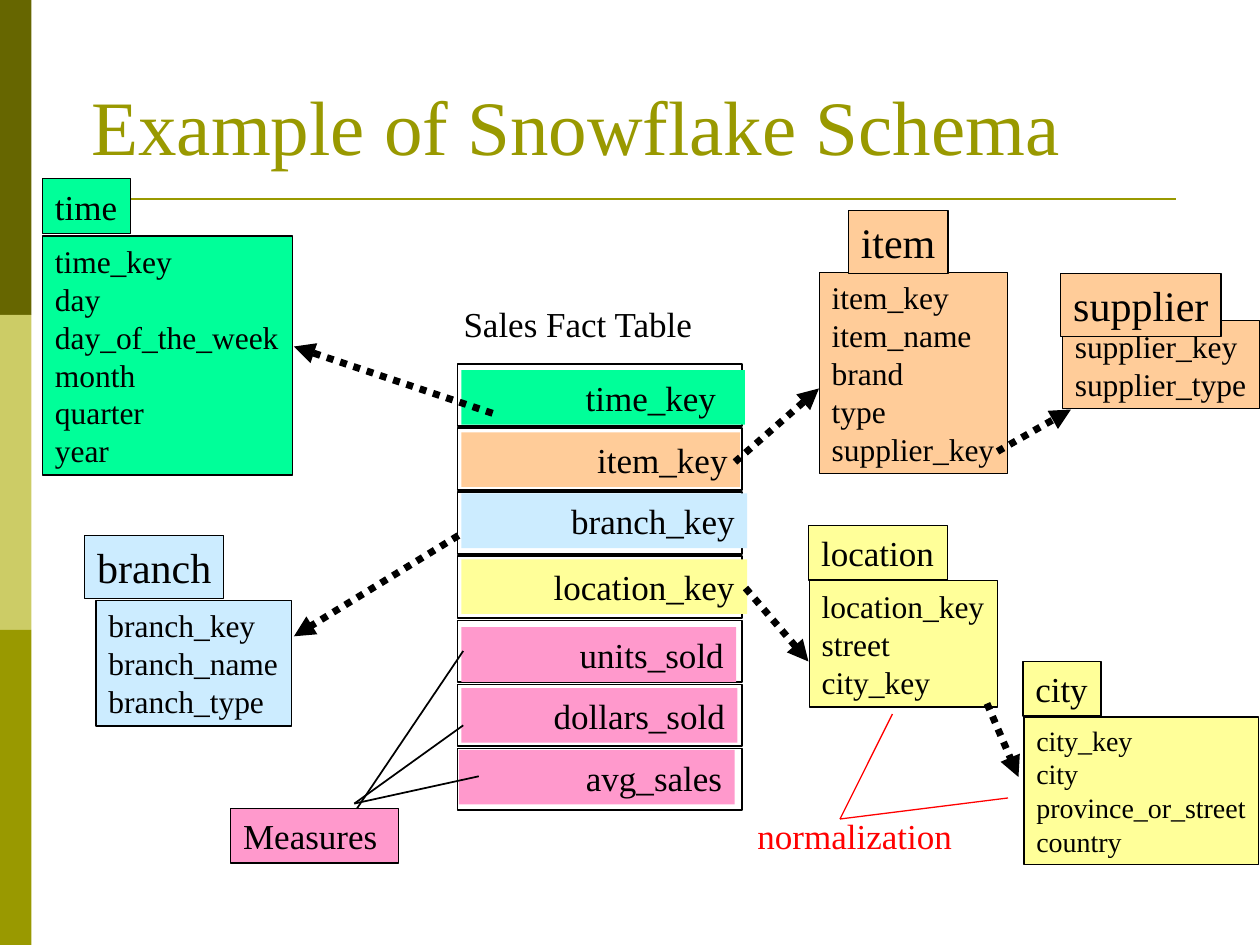
from dataclasses import dataclass

from lxml.etree import SubElement
from pptx import Presentation
from pptx.dml.color import RGBColor
from pptx.enum.dml import MSO_LINE
from pptx.enum.shapes import MSO_CONNECTOR, MSO_SHAPE
from pptx.enum.text import MSO_ANCHOR, MSO_AUTO_SIZE, PP_ALIGN
from pptx.oxml.ns import qn
from pptx.util import Pt


@dataclass(frozen=True)
class Theme:
    font: str = "Times New Roman"
    dark_olive: str = "666600"
    pale_olive: str = "CCCC66"
    olive: str = "999900"
    ink: str = "000000"
    accent: str = "FF0000"
    time: str = "00FF99"
    item: str = "FFCC99"
    branch: str = "CCECFF"
    location: str = "FFFF99"
    measure: str = "FF99CC"
    title_size: int = 44
    heading_size: int = 24
    label_size: int = 20
    field_size: int = 18
    small_size: int = 16


THEME = Theme()

SIDE_BAND_COLORS = (THEME.dark_olive, THEME.pale_olive, THEME.olive)

# heading, heading size, heading box, fields, field size, field box, fill
ENTITIES = (
    ("time", THEME.label_size, (24.3, 102.2, 50.4, 31.2),
     ("time_key", "day", "day_of_the_week", "month", "quarter", "year"),
     THEME.field_size, (24.3, 134.9, 142.8, 136.6), THEME.time),
    ("location", THEME.label_size, (462.2, 300.2, 79.2, 31.2),
     ("location_key", "street", "city_key"),
     THEME.field_size, (462.5, 331.9, 107.5, 72.2), THEME.location),
    ("item", THEME.heading_size, (484.8, 120.2, 56.9, 36),
     ("item_key", "item_name", "brand", "type", "supplier_key"),
     THEME.field_size, (468.2, 155.6, 107.5, 115), THEME.item),
    ("branch", THEME.heading_size, (48.4, 306, 79.4, 36),
     ("branch_key", "branch_name", "branch_type"),
     THEME.field_size, (54.9, 343, 111.6, 72), THEME.branch),
    ("supplier", THEME.heading_size, (606.2, 156.3, 91.6, 36),
     ("supplier_key", "supplier_type"),
     THEME.field_size, (607.1, 183.3, 112.6, 50.4), THEME.item),
    ("city", THEME.label_size, (584.5, 378, 44.6, 31.2),
     ("city_key", "city", "province_or_street", "country"),
     THEME.small_size, (585.1, 409.8, 134, 84.2), THEME.location),
)

CELL_LEFT, CELL_TOP, CELL_PITCH = 261.4, 208.1, 36.6
CELL_WIDTH, CELL_HEIGHT, KEY_HEIGHT = 162.7, 35.3, 31.2
# key, fill, left, top, width, right inset
FACT_KEYS = (
    ("time_key", THEME.time, 263.7, 211.5, 162, 16.5),
    ("item_key", THEME.item, 263.7, 247, 159.2, 7.2),
    ("branch_key", THEME.branch, 263.7, 282, 163.2, 7.2),
    ("location_key", THEME.location, 263.7, 319.6, 163.2, 7.2),
    ("units_sold", THEME.measure, 263.7, 358.4, 157, 7.2),
    ("dollars_sold", THEME.measure, 263.7, 393.2, 157.7, 7.2),
    ("avg_sales", THEME.measure, 262.3, 428.5, 157.5, 7.2),
)

KEY_LINKS = (
    ((262, 306), (168, 363.6)),
    ((281.5, 236.2), (168, 198)),
    ((426, 336), (462, 378)),
    ((420, 264), (468, 222)),
    ((570, 258), (612, 234)),
    ((564, 402), (582, 444)),
)
MEASURE_LINES = (
    ((204, 462), (264.7, 372)),
    ((202.5, 459.2), (264.7, 414.5)),
    ((202.5, 459.2), (273.6, 443.6)),
)
NORMALIZATION_LINES = (
    ((480, 468), (510, 408)),
    ((480, 468), (576, 456)),
)


def rgb(color):
    return RGBColor.from_string(color)


def add_box(shapes, box, fill=None, outline=None):
    rect = shapes.add_shape(MSO_SHAPE.RECTANGLE, *map(Pt, box))
    rect.shadow.inherit = False
    paint(rect, fill, outline, 1)


def paint(shape, fill, outline, weight):
    if fill:
        shape.fill.solid()
        shape.fill.fore_color.rgb = rgb(fill)
    else:
        shape.fill.background()
    if outline:
        shape.line.color.rgb = rgb(outline)
        shape.line.width = Pt(weight)
    else:
        shape.line.fill.background()


def format_text(frame, size, color, align=PP_ALIGN.LEFT):
    for paragraph in frame.paragraphs:
        paragraph.alignment = align
        for run in paragraph.runs:
            run.font.name = THEME.font
            run.font.size = Pt(size)
            run.font.color.rgb = rgb(color)


def add_label(shapes, text, box, size=THEME.label_size, color=THEME.ink, fill=None,
              outline=None, align=PP_ALIGN.LEFT, right_inset=0):
    """Text box; left-aligned text may use the full width up to the right edge."""
    label = shapes.add_textbox(*map(Pt, box))
    paint(label, fill, outline, 0.75)
    frame = label.text_frame
    frame.text = text
    frame.word_wrap = True
    frame.auto_size = MSO_AUTO_SIZE.SHAPE_TO_FIT_TEXT
    frame.margin_right = Pt(right_inset)
    format_text(frame, size, color, align)


def add_line(shapes, start, end, color=THEME.ink, weight=1.0):
    line = shapes.add_connector(MSO_CONNECTOR.STRAIGHT, *map(Pt, start + end))
    line.line.color.rgb = rgb(color)
    line.line.width = Pt(weight)
    SubElement(line._element.spPr, qn("a:effectLst"))
    return line


def add_key_link(shapes, start, end):
    """Dotted arrow from a foreign key to the table it refers to."""
    link = add_line(shapes, start, end, weight=4)
    link.line.dash_style = MSO_LINE.ROUND_DOT
    SubElement(link.line._get_or_add_ln(), qn("a:tailEnd"), type="triangle")


def add_entity(shapes, heading, heading_size, heading_box, fields, field_size, field_box, fill):
    entity = shapes.add_group_shape().shapes
    add_label(entity, "\n".join(fields), field_box, field_size, fill=fill, outline=THEME.ink)
    add_label(entity, heading, heading_box, heading_size, fill=fill, outline=THEME.ink)


def add_fact_table(shapes):
    add_label(shapes, "Sales Fact Table", (257.8, 169.5, 146.9, 31.2))
    for row, (key, fill, left, top, width, inset) in enumerate(FACT_KEYS):
        cell_top = CELL_TOP + row * CELL_PITCH
        add_box(shapes, (CELL_LEFT, cell_top, CELL_WIDTH, CELL_HEIGHT), outline=THEME.ink)
        add_label(shapes, key, (left, top, width, KEY_HEIGHT), fill=fill,
                  align=PP_ALIGN.RIGHT, right_inset=inset)


def set_title(title, text):
    title.left, title.top, title.width, title.height = map(Pt, (45, 36, 601, 65.5))
    frame = title.text_frame
    frame.text = text
    frame.auto_size = MSO_AUTO_SIZE.NONE
    frame.vertical_anchor = MSO_ANCHOR.BOTTOM
    format_text(frame, THEME.title_size, THEME.olive)


def main():
    deck = Presentation()
    deck.slide_width, deck.slide_height = Pt(720), Pt(540)
    slide = deck.slides.add_slide(deck.slide_layouts[5])
    shapes = slide.shapes

    for band, color in enumerate(SIDE_BAND_COLORS):
        add_box(shapes, (0, band * 180, 18, 180), fill=color)
    add_line(shapes, (36, 113.8), (672, 113.8), THEME.olive, 1.5)
    set_title(shapes.title, "Example of Snowflake Schema")

    add_fact_table(shapes)
    for entity in ENTITIES:
        add_entity(shapes, *entity)
    add_label(shapes, "Measures", (131.8, 462, 96, 31.2), fill=THEME.measure,
              outline=THEME.ink)
    add_label(shapes, "normalization", (425.7, 462, 126, 31.2), color=THEME.accent)

    for start, end in MEASURE_LINES:
        add_line(shapes, start, end)
    for start, end in NORMALIZATION_LINES:
        add_line(shapes, start, end, THEME.accent, 0.75)
    for start, end in KEY_LINKS:
        add_key_link(shapes, start, end)

    deck.save("out.pptx")


if __name__ == "__main__":
    main()
